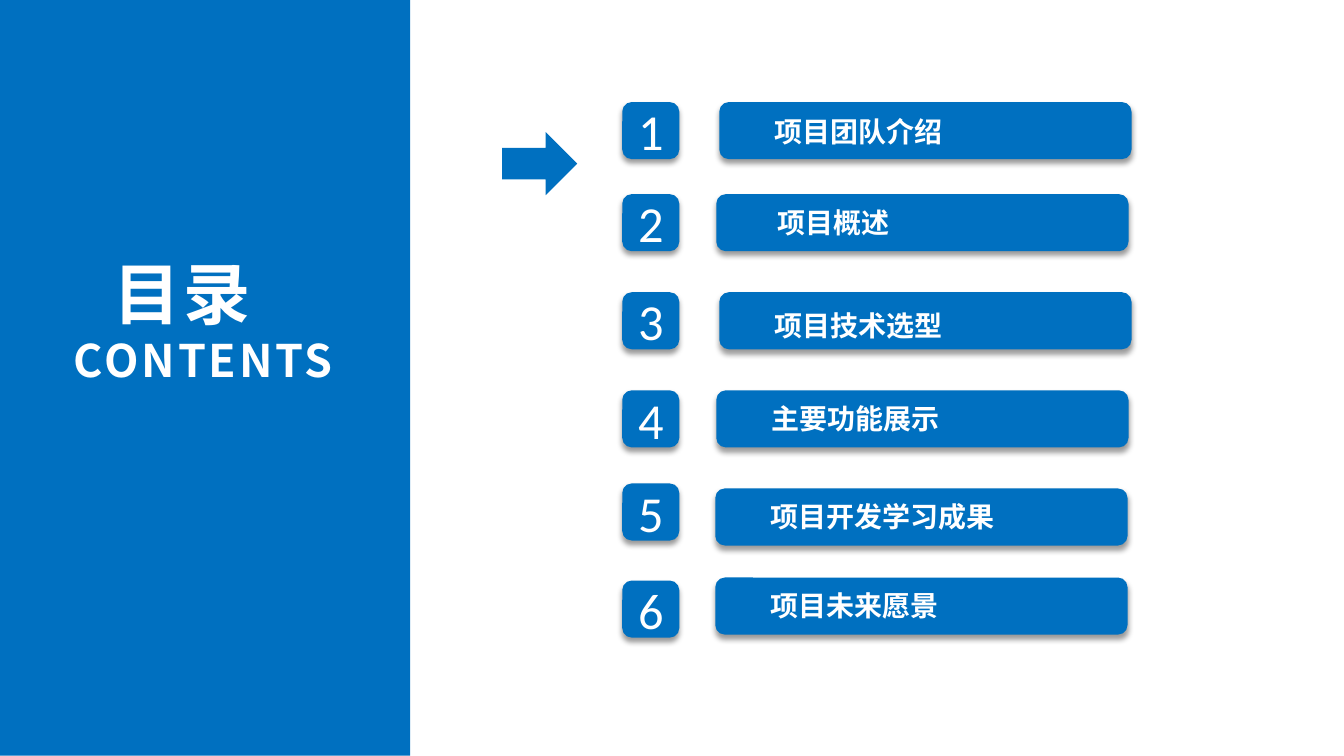
from lxml.etree import SubElement as add_node
from pptx import Presentation
from pptx.dml.color import RGBColor as Color
from pptx.enum.shapes import MSO_SHAPE as Preset
from pptx.enum.text import MSO_ANCHOR as Anchor, MSO_AUTO_SIZE as Fit, PP_ALIGN as Align
from pptx.oxml.ns import qn
from pptx.util import Inches, Pt

SCALE = Inches(1) / 100.7
COLORS = {"blue": "0070C0", "white": "FFFFFF", "shadow": "000000"}
CJK = "Noto Sans CJK SC"
TITLE = {"name": CJK, "size": Pt(48), "bold": True}
SUBTITLE = {**TITLE, "size": Pt(32)}
NUMBER = {"name": "Calibri", "size": Pt(36)}
ENTRY = {"name": CJK, "size": Pt(20), "bold": True}


def px(*lengths):
    return [round(length * SCALE) for length in lengths]


class ContentsPage:
    def __init__(self, deck):
        self.page = deck.slides.add_slide(deck.slide_layouts[5])

    def shape(self, preset, *place):
        shape = self.page.shapes.add_shape(preset, *px(*place))
        shape.shadow.inherit = False
        shape.fill.solid()
        shape.fill.fore_color.rgb = Color.from_string(COLORS["blue"])
        shape.line.fill.background()
        return shape

    def tile(self, *place):
        tile = self.shape(Preset.ROUNDED_RECTANGLE, *place)
        effects = tile.element.spPr.find(qn("a:effectLst"))
        shadow = add_node(effects, qn("a:outerShdw"), blurRad=str(Pt(4)), dist=str(Pt(3)),
                          dir="5400000", algn="t", rotWithShape="0")
        tint = add_node(shadow, qn("a:srgbClr"), val=COLORS["shadow"])
        add_node(tint, qn("a:alpha"), val="40000")
        return tile

    def frame(self, box, anchor):
        frame = box.text_frame
        side, edge = px(13, 7)
        values = {"word_wrap": True, "auto_size": Fit.NONE, "vertical_anchor": anchor,
                  "margin_left": side, "margin_right": side,
                  "margin_top": edge, "margin_bottom": edge}
        for name, value in values.items():
            setattr(frame, name, value)
        return frame

    def add_text(self, para, text, style, align=Align.LEFT, spacing=0):
        para.alignment = align
        span = para.add_run()
        span.text = text
        span.font.color.rgb = Color.from_string(COLORS["white"])
        for name, value in style.items():
            setattr(span.font, name, value)
        props = span._r.get_or_add_rPr()
        add_node(props, qn("a:ea"), typeface=style["name"])
        if spacing:
            props.set("spc", str(spacing))

    def title(self, text, subtitle, *place):
        title = self.page.shapes.title
        title.element.getparent().append(title.element)
        title.left, title.top, title.width, title.height = px(*place)
        frame = self.frame(title, Anchor.TOP)
        self.add_text(frame.paragraphs[0], text, TITLE, Align.CENTER, 200)
        self.add_text(frame.add_paragraph(), subtitle, SUBTITLE, Align.RIGHT, 200)

    def number(self, text, *place):
        frame = self.frame(self.tile(*place), Anchor.MIDDLE)
        self.add_text(frame.paragraphs[0], text, NUMBER, Align.CENTER)

    def label(self, text, *place):
        box = self.page.shapes.add_textbox(*px(*place))
        self.add_text(self.frame(box, Anchor.TOP).paragraphs[0], text, ENTRY)


deck = Presentation()
deck.slide_width, deck.slide_height = Inches(13.34), Inches(7.5)
contents = ContentsPage(deck)
contents.shape(Preset.RECTANGLE, 0, 0, 410, 755)
contents.title("目录 ", "CONTENTS", 37, 245, 309, 149)
contents.shape(Preset.DOWN_ARROW, 508, 126, 63, 75).rotation = 270

TILE, BAR_WIDTH = 57, 412
ENTRIES = [
    ("项目团队介绍", 102, 719, 102, 761, 107),
    ("项目概述", 194, 716, 194, 764, 198),
    ("项目技术选型", 292, 719, 292, 761, 301),
    ("主要功能展示", 390, 716, 390, 758, 394),
    ("项目开发学习成果", 483, 715, 488, 757, 492),
    ("项目未来愿景", 580, 715, 577, 757, 581),
]
for index, (text, number_top, bar_left, bar_top, text_left, text_top) in enumerate(ENTRIES, 1):
    contents.number(str(index), 622, number_top, TILE, TILE)
    contents.tile(bar_left, bar_top, BAR_WIDTH, TILE)
    contents.label(text, text_left, text_top, 301, 47)

deck.save("out.pptx")
